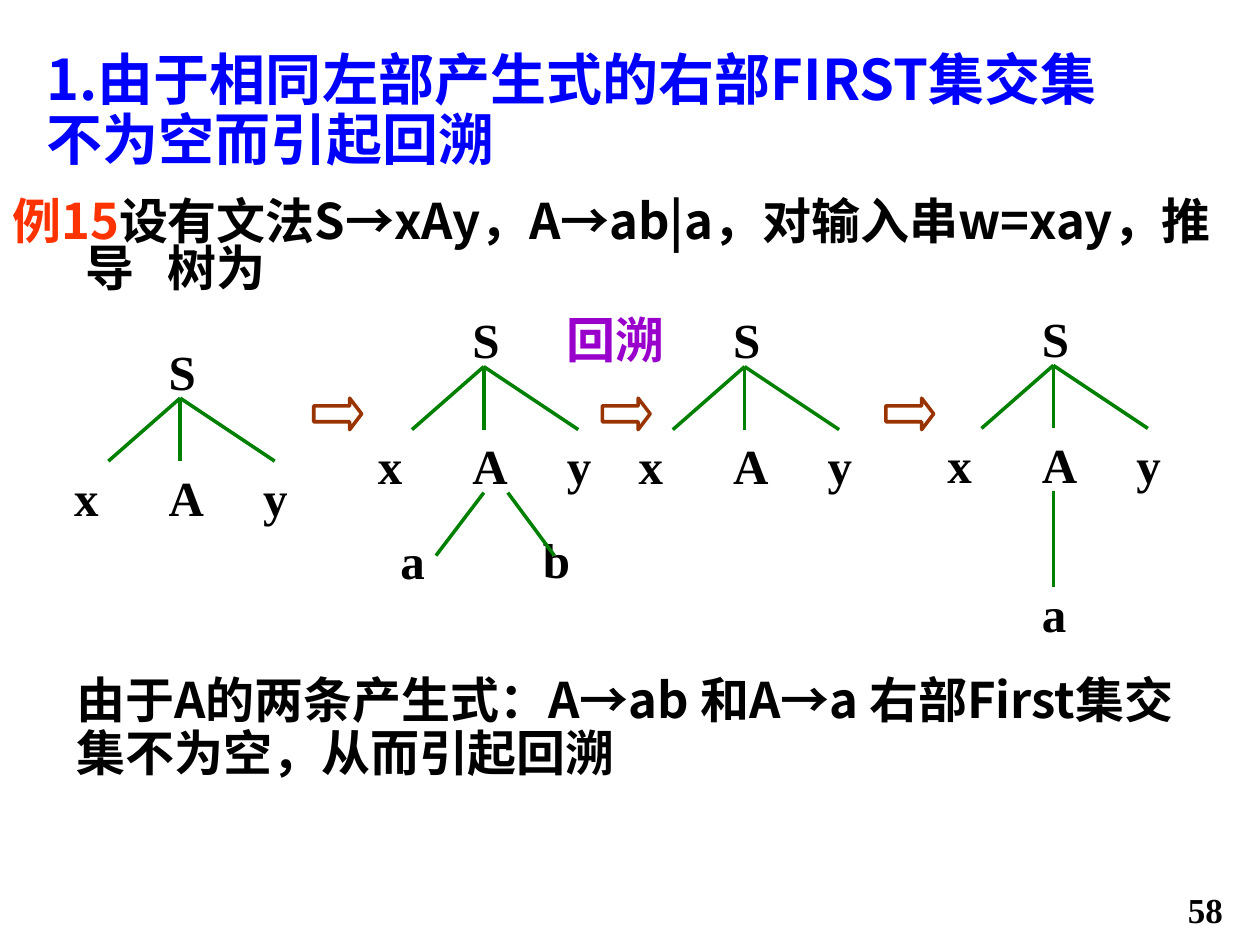
from pptx import Presentation
from pptx.dml.color import RGBColor
from pptx.enum import shapes as kinds, text as enums
from pptx.oxml import ns, xmlchemy as xml
from pptx.util import Inches, Pt

SANS, SERIF = "Noto Sans CJK SC", "Times New Roman"
BLACK, BLUE, RED = "000000", "0000FF", "FF3300"
GREEN, BROWN, PURPLE = "008000", "993300", "9900CC"

# Content
TITLE = "1.由于相同左部产生式的右部FIRST集交集不为空而引起回溯"
# Each run: text, colour, extra letter spacing in points
EXAMPLE = [
    ("例15", RED, 0),
    ("设有文法S→xAy，A→ab|a，对输入串w=xay，推导", BLACK, 0),
    (" ", BLACK, 12.5),
    ("树为", BLACK, 0),
]
REASON = "由于A的两条产生式：A→ab 和A→a 右部First集交集不为空，从而引起回溯"

# Trees: corner of the root label, then the children of A
# as (label, label offset, line start, line end), offsets from that corner
TREES = [
    ((1.24, 2.66), []),
    ((3.65, 2.41), [
        ("a", (-0.57, 1.75), (0.19, 1.5), (-0.19, 2)),
        ("b", (0.56, 1.74), (0.38, 1.5), (0.75, 2)),
    ]),
    ((5.72, 2.41), []),
    ((8.17, 2.4), [("a", (0, 2.18), (0.19, 1.5), (0.19, 2.26))]),
]
LEAVES = [("x", -0.75, -0.38), ("A", 0, 0.19), ("y", 0.75, 0.94)]
ARROWS = [2.49, 4.78, 7.03]


def rgb(code):
    return RGBColor.from_string(code)


def write(box, runs, size=28, font=SERIF, color=BLACK, lines=None,
          align=enums.PP_ALIGN.LEFT, hang=0):
    """Fill a box with one paragraph; runs is a string or a list of runs."""
    frame = box.text_frame
    frame.word_wrap = True
    frame.auto_size = enums.MSO_AUTO_SIZE.NONE
    frame.vertical_anchor = enums.MSO_ANCHOR.TOP
    para = frame.paragraphs[0]
    para.alignment = align
    para.space_before = Pt(0)
    if lines:
        para.line_spacing = lines
    if hang:
        props = para._p.get_or_add_pPr()
        props.set("marL", str(Inches(hang)))
        props.set("indent", str(-Inches(hang)))
    if isinstance(runs, str):
        runs = [(runs, color, 0)]
    for words, tint, gap in runs:
        run = para.add_run()
        run.text = words
        run.font.size = Pt(size)
        run.font.bold = True
        run.font.name = font
        run.font.color.rgb = rgb(tint)
        props = run._r.get_or_add_rPr()
        east = xml.OxmlElement("a:ea")
        east.set("typeface", SANS)
        props.append(east)
        if gap:
            props.set("spc", str(int(gap * 100)))


def label(parent, words, x, y, w=0.57, h=0.75, **style):
    box = parent.add_textbox(Inches(x), Inches(y), Inches(w), Inches(h))
    write(box, words, **style)


def branch(parent, start, end):
    ends = [Inches(n) for n in (*start, *end)]
    line = parent.add_connector(kinds.MSO_CONNECTOR.STRAIGHT, *ends)
    line.line.color.rgb = rgb(GREEN)
    line.line.width = Pt(2)
    props = line._element.find(ns.qn("p:spPr"))
    props.append(xml.OxmlElement("a:effectLst"))


def tree(parent, x, y, kids):
    label(parent, "S", x, y, w=0.75)
    for name, left, tip in LEAVES:
        branch(parent, (x + 0.19, y + 0.5), (x + tip, y + 1))
        label(parent, name, x + left, y + 1)
    for name, spot, start, end in kids:
        label(parent, name, x + spot[0], y + spot[1])
        branch(parent, (x + start[0], y + start[1]), (x + end[0], y + end[1]))


def arrow(parent, x):
    shape = parent.add_shape(kinds.MSO_SHAPE.RIGHT_ARROW, Inches(x),
                             Inches(3.16), Inches(0.38), Inches(0.25))
    shape.adjustments[1] = 0.38
    shape.shadow.inherit = False
    shape.fill.background()
    shape.line.color.rgb = rgb(BROWN)
    shape.line.width = Pt(2)


def main():
    deck = Presentation()
    deck.slide_width, deck.slide_height = Inches(10), Inches(7.5)
    slide = deck.slides.add_slide(deck.slide_layouts[5])
    items = slide.shapes

    # Heading
    title = items.title
    title.left, title.top = Inches(0.27), Inches(0.36)
    title.width, title.height = Inches(8.9), Inches(1.06)
    write(title, TITLE, size=32, font=SANS, color=BLUE, lines=0.9)

    # Example and conclusion
    label(items, EXAMPLE, 0, 1.55, 9.73, 0.87, font=SANS, lines=0.8, hang=0.58)
    label(items, REASON, 0.51, 5.32, 9.27, 0.94, font=SANS, lines=0.9)

    # Derivation trees, one group each
    for (x, y), kids in TREES:
        tree(items.add_group_shape().shapes, x, y, kids)

    # Steps between the trees
    for x in ARROWS:
        arrow(items, x)
    label(items, "回溯", 4.4, 2.41, w=1.15, color=PURPLE)

    # Page number
    label(items, "58", 9.33, 7, 0.67, 0.44, size=20)

    deck.save("out.pptx")


if __name__ == "__main__":
    main()
